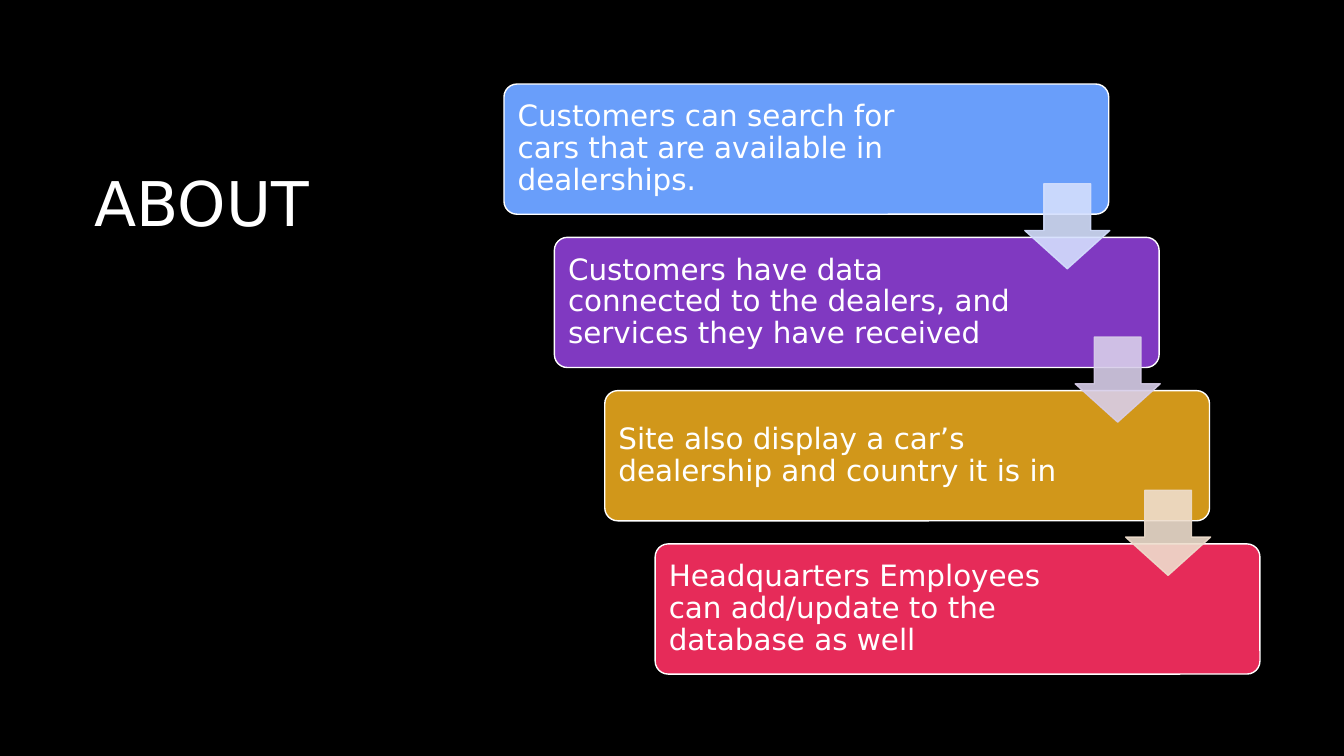
from dataclasses import dataclass

from lxml.etree import SubElement
from pptx import Presentation
from pptx.dml.color import RGBColor
from pptx.enum.shapes import MSO_SHAPE as Preset
from pptx.enum.text import MSO_ANCHOR as Anchor, MSO_AUTO_SIZE as AutoSize, PP_ALIGN as Align
from pptx.oxml.ns import qn
from pptx.util import Emu, Pt

EMU_PER_PX = 9525


def px(length):
    return Emu(length * EMU_PER_PX)


def set_all(target, values):
    for name, value in values.items():
        setattr(target, name, value)


@dataclass(frozen=True)
class Theme:
    font: str = "DejaVu Sans"
    background: str = "000000"
    ink: str = "FFFFFF"
    step_fills: tuple = ("699EFA", "8039C1", "D1971A", "E62B59")
    arrow_fills: tuple = ("D4DFFD", "D8CEE9", "EEDDCD")
    arrow_opacity: int = 90
    title_size: int = 44
    step_size: int = 21
    line_width: int = 1


class SlideBuilder:
    def __init__(self, presentation, theme):
        self.theme = theme
        self.slide = presentation.slides.add_slide(presentation.slide_layouts[5])
        self.paint(self.slide.background.fill, theme.background)

    def paint(self, fill, color, opacity=100):
        fill.solid()
        fill.fore_color.rgb = RGBColor.from_string(color)
        if opacity < 100:
            color_element = fill._xPr.find(qn("a:solidFill"))[0]
            SubElement(color_element, qn("a:alpha"), val=str(opacity * 1000))

    def set_text(self, shape, text, size, anchor, margins):
        frame = shape.text_frame
        set_all(frame, {
            "text": text,
            "word_wrap": True,
            "auto_size": AutoSize.NONE,
            "vertical_anchor": anchor,
        })
        sides = ("margin_left", "margin_top", "margin_right", "margin_bottom")
        set_all(frame, {side: px(margin) for side, margin in zip(sides, margins)})
        paragraph = frame.paragraphs[0]
        set_all(paragraph, {"alignment": Align.LEFT, "line_spacing": 0.9})
        font = paragraph.runs[0].font
        set_all(font, {"name": self.theme.font, "size": Pt(size)})
        font.color.rgb = RGBColor.from_string(self.theme.ink)

    def title(self, text, left, top, width, height):
        shape = self.slide.shapes.title
        set_all(shape, {"left": px(left), "top": px(top), "width": px(width), "height": px(height)})
        self.set_text(shape, text, self.theme.title_size, Anchor.TOP, (10, 5, 10, 5))

    def label(self, text, left, top, width, height):
        shape = self.slide.shapes.add_textbox(*map(px, (left, top, width, height)))
        self.set_text(shape, text, self.theme.step_size, Anchor.MIDDLE, (9, 9, 9, 9))

    def shape(self, preset, box, adjustments, fill, line, opacity=100):
        shape = self.slide.shapes.add_shape(preset, *map(px, box))
        shape.shadow.inherit = False
        for index, value in enumerate(adjustments):
            shape.adjustments[index] = value
        self.paint(shape.fill, fill, opacity)
        self.paint(shape.line.fill, line, opacity)
        shape.line.width = Pt(self.theme.line_width)

    def step(self, text, text_width, fill, left, top, width, height):
        box = (left, top, width, height)
        self.shape(Preset.ROUNDED_RECTANGLE, box, (0.1,), fill, self.theme.ink)
        self.label(text, left + 4, top + 4, text_width, height - 8)

    def arrow(self, fill, left, top, size):
        box = (left, top, size, size)
        self.shape(Preset.DOWN_ARROW, box, (0.55, 0.45), fill, fill, self.theme.arrow_opacity)


STEPS = (
    ("Customers can search for cars that are available in dealerships.", 432),
    ("Customers have data connected to the dealers, and services they have received", 441),
    ("Site also display a car’s dealership and country it is in", 441),
    ("Headquarters Employees can add/update to the database as well", 420),
)
STEP_RIGHT, STEP_DOWN = 48, 146


def main():
    presentation = Presentation()
    set_all(presentation, {"slide_width": px(1280), "slide_height": px(720)})
    theme = Theme()
    builder = SlideBuilder(presentation, theme)
    builder.title("ABOUT", 80, 160, 400, 400)
    for index, ((text, text_width), fill) in enumerate(zip(STEPS, theme.step_fills)):
        builder.step(text, text_width, fill,
                     480 + index * STEP_RIGHT, 80 + index * STEP_DOWN, 576, 124)
    for index, fill in enumerate(theme.arrow_fills):
        builder.arrow(fill, 976 + index * STEP_RIGHT, 175 + index * STEP_DOWN, 81)
    presentation.save("out.pptx")


if __name__ == "__main__":
    main()
